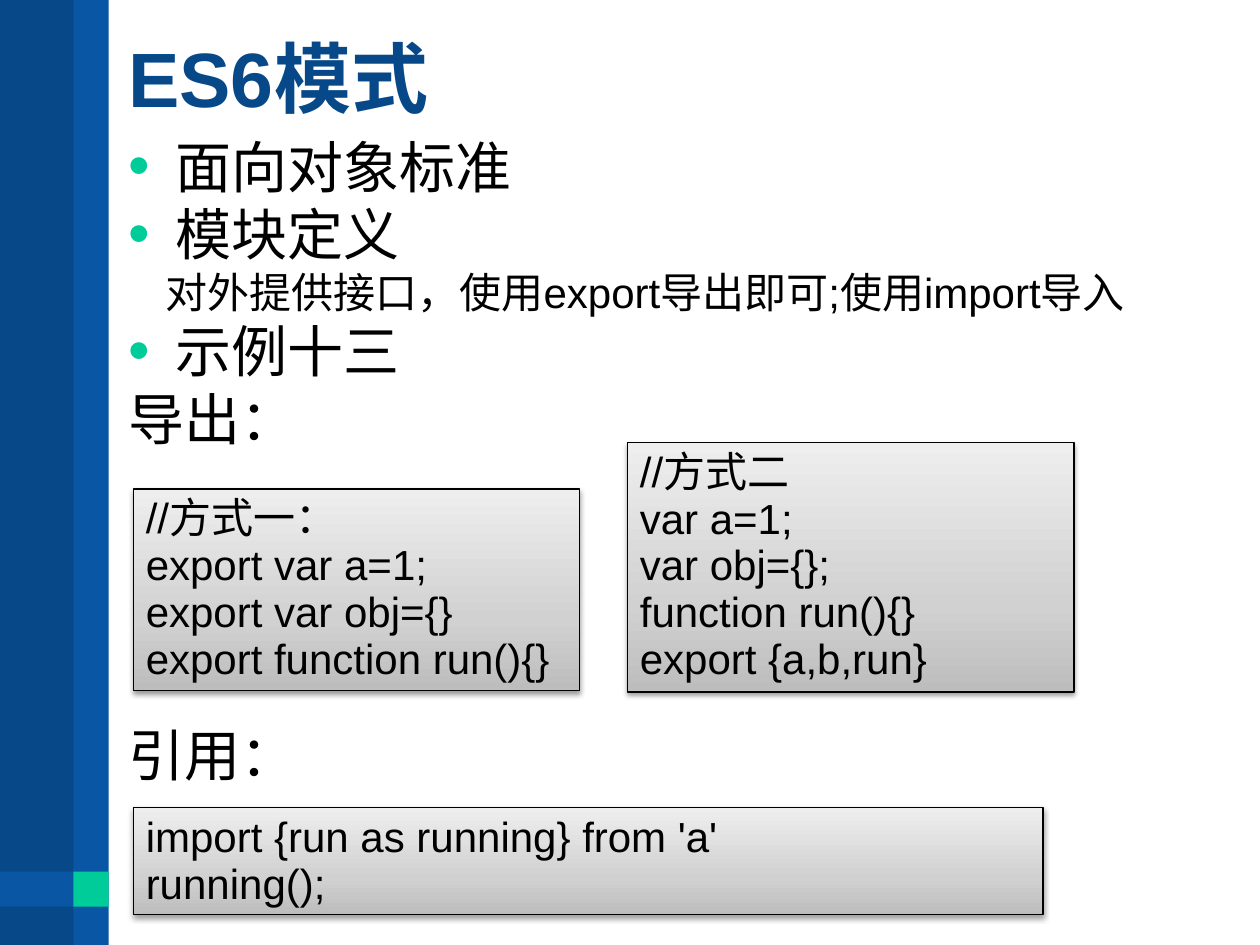
"""Build the ES6 module slide with its code boxes."""
import pptx
import pptx.util
import pptx.dml.color
import pptx.enum.shapes
import pptx.enum.text
import pptx.oxml
import pptx.oxml.ns

Cm, Pt = pptx.util.Cm, pptx.util.Pt
RGB = pptx.dml.color.RGBColor
RECT = pptx.enum.shapes.MSO_SHAPE.RECTANGLE
ANCHOR = pptx.enum.text.MSO_ANCHOR
NAVY = RGB(0x07, 0x48, 0x88)
BLUE = RGB(0x08, 0x56, 0xA4)
GREEN = RGB(0x00, 0xCC, 0x99)
BLACK = RGB(0, 0, 0)
STOPS = [(0, RGB(0xBD, 0xBD, 0xBD)), (35, RGB(0xD1, 0xD1, 0xD1)), (100, RGB(0xEE, 0xEE, 0xEE))]
NS = pptx.oxml.ns.nsdecls("a")
qn = pptx.oxml.ns.qn


def add_xml(parent, xml):
    tag, rest = xml.split(" ", 1)
    parent.append(pptx.oxml.parse_xml(f"{tag} {NS} {rest}"))


def add_line(tf, index, text, size, color=BLACK, spacing=None):
    p = tf.paragraphs[0] if index == 0 else tf.add_paragraph()
    p.alignment = pptx.enum.text.PP_ALIGN.LEFT
    if spacing:
        p.line_spacing = Pt(spacing)
    r = p.add_run()
    r.text = text
    r.font.name = "Arial"
    r.font.size = Pt(size)
    r.font.color.rgb = color
    return p


prs = pptx.Presentation()
prs.slide_width, prs.slide_height = Cm(25.4), Cm(19.05)
s = prs.slides.add_slide(prs.slide_layouts[6])

bars = [
    (0, 0, 2.11, 19.05, NAVY),
    (1.48, 0, 0.71, 19.05, BLUE),
    (0, 17.57, 2.11, 0.71, BLUE),
    (1.48, 17.57, 0.71, 0.71, GREEN),
]
for x, y, w, h, color in bars:
    sp = s.shapes.add_shape(RECT, Cm(x), Cm(y), Cm(w), Cm(h))
    sp.shadow.inherit = False
    sp.fill.solid()
    sp.fill.fore_color.rgb = color
    sp.line.fill.background()

title = s.shapes.add_textbox(Cm(2.34), Cm(-0.05), Cm(22.22), Cm(3.18))
tf = title.text_frame
tf.word_wrap = True
tf.vertical_anchor = ANCHOR.MIDDLE
p = add_line(tf, 0, "ES6模式", 44, NAVY)
p.runs[0].font.bold = True

body = s.shapes.add_textbox(Cm(2.34), Cm(2.54), Cm(22.22), Cm(16.46))
tf = body.text_frame
tf.word_wrap = True
outline = [
    ("面向对象标准", 32, True, 0, 0),
    ("模块定义", 32, True, 0, 0),
    ("对外提供接口，使用export导出即可;使用import导入", 24, False, 0.75, 0),
    ("示例十三", 32, True, 0, 0),
    ("导出：", 32, False, 0, 0),
    ("引用：", 32, False, 0, 4),
]
for i, (text, size, bullet, indent, skipped) in enumerate(outline):
    p = add_line(tf, i, text, size, spacing=size * 1.2)
    p.space_before = Pt(skipped * size * 1.2)
    pPr = p._p.get_or_add_pPr()
    pPr.set("marL", str(Cm(0.95 if bullet else indent)))
    pPr.set("indent", str(Cm(-0.95 if bullet else 0)))
    if bullet:
        add_xml(pPr, f'<a:buClr ><a:srgbClr val="{GREEN}"/></a:buClr>')
        add_xml(pPr, '<a:buSzPct val="110000"/>')
        add_xml(pPr, '<a:buFont typeface="Arial"/>')
        add_xml(pPr, '<a:buChar char="•"/>')

code_boxes = [
    (2.69, 9.86, 9, 4.06, ["//方式一：", "export var a=1;", "export var obj={}",
                           "export function run(){}"]),
    (12.65, 8.92, 9, 5.03, ["//方式二", "var a=1;", "var obj={};", "function run(){}",
                            "export {a,b,run}"]),
    (2.69, 16.28, 18.34, 2.16, ["import {run as running} from 'a'", "running();"]),
]
for x, y, w, h, lines in code_boxes:
    sp = s.shapes.add_shape(RECT, Cm(x), Cm(y), Cm(w), Cm(h))
    sp.line.color.rgb = BLACK
    sp.line.width = Pt(0.75)
    sp.fill.gradient()
    sp.fill.gradient_angle = 90
    stops = sp._element.spPr.find(".//" + qn("a:gsLst"))
    for stop in list(stops):
        stops.remove(stop)
    for pos, color in STOPS:
        add_xml(stops, f'<a:gs pos="{pos * 1000}"><a:srgbClr val="{color}"/></a:gs>')
    sp.shadow.inherit = False
    add_xml(sp._element.spPr.find(qn("a:effectLst")),
            f'<a:outerShdw blurRad="{Pt(3.1)}" dist="{Pt(1.6)}" dir="5400000" rotWithShape="0">'
            '<a:srgbClr val="000000"><a:alpha val="38000"/></a:srgbClr></a:outerShdw>')
    tf = sp.text_frame
    tf.word_wrap = True
    tf.vertical_anchor = ANCHOR.TOP
    for i, text in enumerate(lines):
        add_line(tf, i, text, 24, spacing=26.8)

prs.save("out.pptx")
